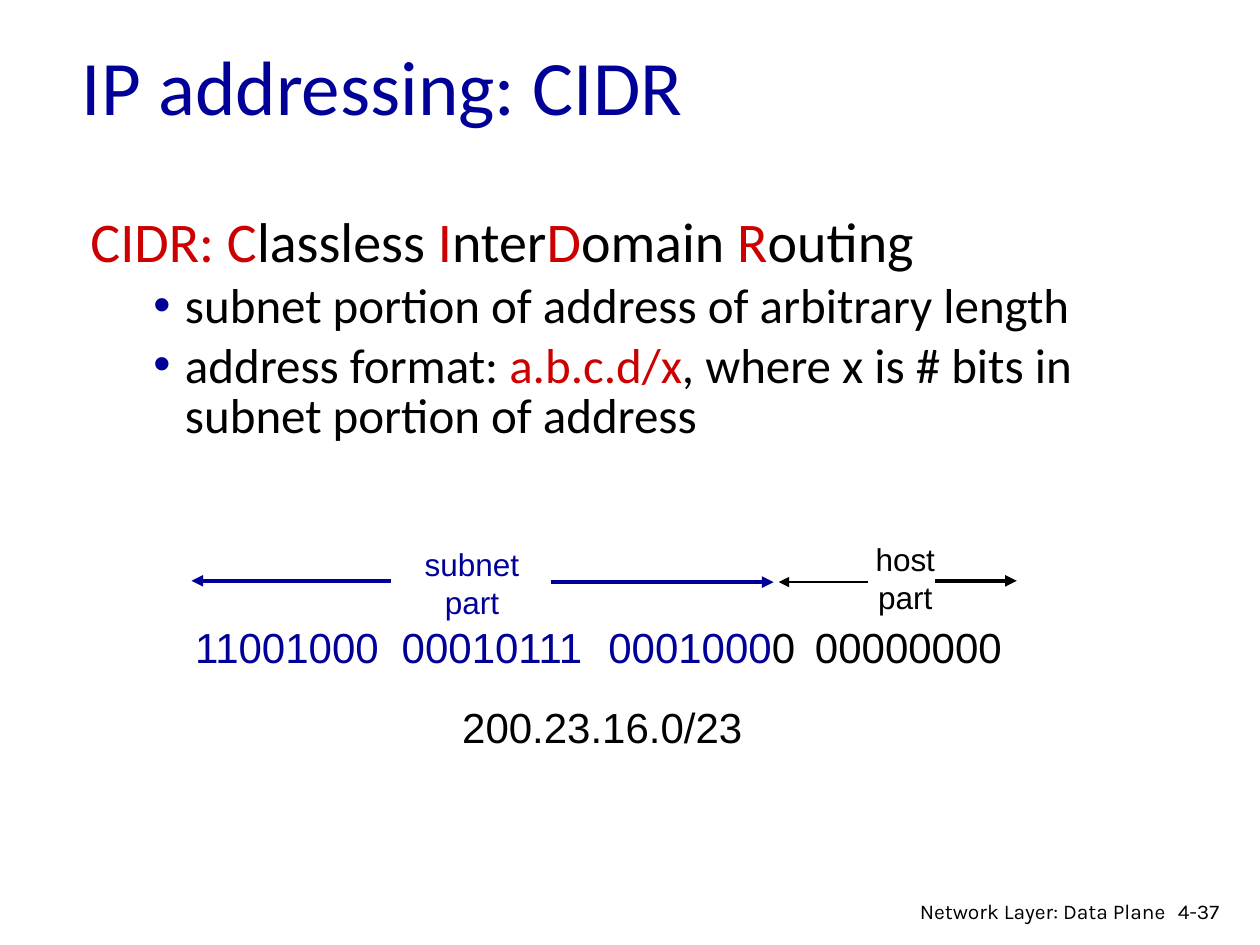
from dataclasses import dataclass

from lxml.etree import SubElement
from pptx import Presentation
from pptx.dml.color import RGBColor
from pptx.enum.shapes import MSO_CONNECTOR
from pptx.enum.text import MSO_ANCHOR, MSO_AUTO_SIZE, PP_ALIGN
from pptx.oxml.ns import qn
from pptx.util import Inches, Pt


@dataclass(frozen=True)
class Theme:
    blue: str = "000099"
    red: str = "CC0000"
    black: str = "000000"
    text_font: str = "Calibri"
    diagram_font: str = "Arial"
    footer_font: str = "Karla"
    title: int = 44
    lead: int = 32
    bullet: int = 28
    address: int = 24
    label: int = 18
    footer: int = 12


THEME = Theme()
BLUE, RED, BLACK = THEME.blue, THEME.red, THEME.black
LEFT, CENTER, RIGHT = PP_ALIGN.LEFT, PP_ALIGN.CENTER, PP_ALIGN.RIGHT

# Content: each paragraph is a list of (text, colour) runs
TITLE = [("IP addressing: CIDR", BLUE)]
LEAD = [("CIDR: C", RED), ("lassless ", BLACK), ("I", RED), ("nter", BLACK),
        ("D", RED), ("omain ", BLACK), ("R", RED), ("outing", BLACK)]
BULLETS = [
    [("subnet portion of address of arbitrary length", BLACK)],
    [("address format: ", BLACK), ("a.b.c.d/x", RED),
     (", where x is # bits in subnet portion of address", BLACK)],
]
ADDRESS = [("11001000\t00010111\t0001000", BLUE), ("0\t00000000", BLACK)]
OCTET_PITCH = 1.64

# Text boxes: (left, top, width, height), font, size, alignment, paragraphs
LABELS = [
    ((3.27, 4.28, 0.95, 0.7), THEME.diagram_font, THEME.label, CENTER,
     [[("subnet", BLUE)], [("part", BLUE)]]),
    ((6.85, 4.24, 0.67, 0.7), THEME.diagram_font, THEME.label, CENTER,
     [[("host", BLACK)], [("part", BLACK)]]),
    ((3.57, 5.52, 2.43, 0.5), THEME.diagram_font, THEME.address, LEFT,
     [[("200.23.16.0/23", BLACK)]]),
    ((9.25, 7.08, 0.61, 0.3), THEME.footer_font, THEME.footer, LEFT,
     [[("4-37", BLACK)]]),
    ((6.97, 7.08, 2.38, 0.26), THEME.footer_font, THEME.footer, RIGHT,
     [[("Network Layer: Data Plane", BLACK)]]),
]

# Arrows: start x, end x, y, colour, width
ARROWS = [
    (3.1, 1.52, 4.61, BLUE, 2.25),
    (4.37, 6.14, 4.62, BLUE, 2.25),
    (6.89, 6.18, 4.62, BLACK, 1.5),
    (7.42, 8.07, 4.61, BLACK, 2.25),
]


def add_runs(para, runs, font, size):
    for text, colour in runs:
        span = para.add_run()
        span.text = text
        span.font.name = font
        span.font.size = Pt(size)
        span.font.color.rgb = RGBColor.from_string(colour)


def add_text(page, area, font, size, align, paragraphs, wrap=False):
    box = page.shapes.add_textbox(*map(Inches, area))
    frame = box.text_frame
    frame.word_wrap = wrap
    for index, runs in enumerate(paragraphs):
        para = frame.add_paragraph() if index else frame.paragraphs[0]
        para.alignment = align
        add_runs(para, runs, font, size)
    return frame


def set_indent(para, margin, hanging, size):
    para.line_spacing = 0.85
    para.space_before = Pt(size * 0.2)
    properties = para._p.get_or_add_pPr()
    properties.set("marL", str(Inches(margin)))
    properties.set("indent", str(-Inches(hanging)))
    return properties


def add_bullet(properties, colour):
    bullet_colour = SubElement(properties, qn("a:buClr"))
    SubElement(bullet_colour, qn("a:srgbClr"), val=colour)
    SubElement(properties, qn("a:buFont"), typeface="Arial")
    SubElement(properties, qn("a:buChar"), char="•")


def add_tab_stops(para, pitch, count):
    stops = SubElement(para._p.get_or_add_pPr(), qn("a:tabLst"))
    for number in range(1, count + 1):
        SubElement(stops, qn("a:tab"), pos=str(Inches(pitch * number)), algn="l")


def add_arrow(page, start, end, y, colour, width):
    arrow = page.shapes.add_connector(
        MSO_CONNECTOR.STRAIGHT, Inches(start), Inches(y), Inches(end), Inches(y))
    arrow.line.color.rgb = RGBColor.from_string(colour)
    arrow.line.width = Pt(width)
    SubElement(arrow.line._get_or_add_ln(), qn("a:tailEnd"), type="triangle")
    SubElement(arrow._element.spPr, qn("a:effectLst"))


def main():
    deck = Presentation()
    deck.slide_width, deck.slide_height = Inches(10), Inches(7.5)
    page = deck.slides.add_slide(deck.slide_layouts[5])

    # Title
    title = page.shapes.title
    title.left, title.top, title.width, title.height = map(
        Inches, (0.55, 0.21, 8.5, 0.93))
    title.text_frame.auto_size = MSO_AUTO_SIZE.NONE
    title.text_frame.vertical_anchor = MSO_ANCHOR.MIDDLE
    heading = title.text_frame.paragraphs[0]
    heading.alignment = LEFT
    add_runs(heading, TITLE, THEME.text_font, THEME.title)

    # Definition and bullets
    body = add_text(page, (0.62, 1.67, 8.87, 3.47), THEME.text_font, THEME.lead,
                    LEFT, [LEAD], wrap=True)
    set_indent(body.paragraphs[0], 0.38, 0.38, THEME.lead)
    for runs in BULLETS:
        para = body.add_paragraph()
        para.level = 1
        add_bullet(set_indent(para, 0.75, 0.25, THEME.bullet), BLUE)
        add_runs(para, runs, THEME.text_font, THEME.bullet)

    # Binary address, one tab stop per octet after the first
    address = add_text(page, (1.45, 4.88, 6.7, 0.5), THEME.diagram_font,
                       THEME.address, LEFT, [ADDRESS], wrap=True)
    add_tab_stops(address.paragraphs[0], OCTET_PITCH, 3)

    # Labels, footer and arrows
    for label in LABELS:
        add_text(page, *label)
    for arrow in ARROWS:
        add_arrow(page, *arrow)

    deck.save("out.pptx")


if __name__ == "__main__":
    main()
